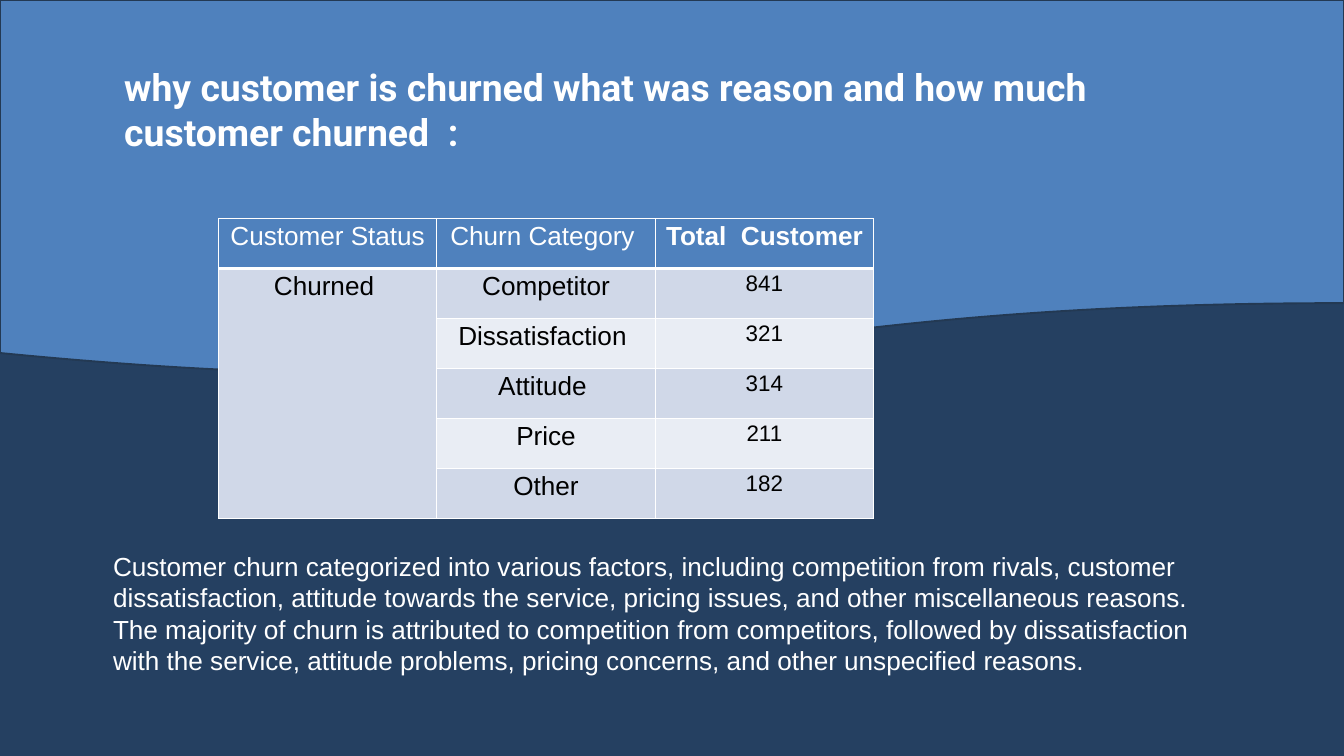
from dataclasses import dataclass

from lxml import etree
from pptx import Presentation
from pptx.dml.color import RGBColor
from pptx.enum.shapes import MSO_SHAPE
from pptx.enum.text import MSO_ANCHOR, PP_ALIGN
from pptx.oxml.ns import qn
from pptx.slide import Slide
from pptx.table import _Cell
from pptx.text.text import _Paragraph
from pptx.util import Pt

RECTANGLE = MSO_SHAPE.RECTANGLE
WAVE = MSO_SHAPE.FLOWCHART_DOCUMENT
MIDDLE = MSO_ANCHOR.MIDDLE
CENTER = PP_ALIGN.CENTER

WHITE = "FFFFFF"
BLACK = "000000"
BLUE = "4F81BD"
NAVY = "254061"
OUTLINE = "233953"
BANDS = ("D0D8E8", "E9EDF4")

SLIDE_WIDTH, SLIDE_HEIGHT = 1440, 810
COLUMN_WIDTH, ROW_HEIGHT = 234, 53.52
HEADINGS = ("Customer Status", "Churn Category ", "Total  Customer")
CHURN_COUNTS = (
    ("Competitor", 841),
    ("Dissatisfaction ", 321),
    ("Attitude ", 314),
    ("Price", 211),
    ("Other", 182),
)


@dataclass(frozen=True)
class Box:
    left: float
    top: float
    width: float
    height: float

    def lengths(self) -> tuple[Pt, Pt, Pt, Pt]:
        return Pt(self.left), Pt(self.top), Pt(self.width), Pt(self.height)


@dataclass(frozen=True)
class Style:
    size: float
    color: str = WHITE
    font: str = "Arial"
    bold: bool = False


@dataclass(frozen=True)
class Backdrop:
    preset: MSO_SHAPE
    box: Box
    fill: str
    line: str
    line_width: float


@dataclass(frozen=True)
class Statement:
    box: Box
    text: str
    style: Style


BACKDROPS = (
    Backdrop(RECTANGLE, Box(-24, 0, 1506, 843), NAVY, WHITE, 3),
    Backdrop(WAVE, Box(0, 0, SLIDE_WIDTH, 405), BLUE, OUTLINE, 2),
)
QUESTION = Statement(
    Box(126, 51, 1176, 132),
    "why customer is churned what was reason and how much customer churned  :",
    Style(40, font="Roboto", bold=True),
)
FINDINGS = Statement(
    Box(114, 591, 1200, 132),
    "Customer churn categorized into various factors, including competition from "
    "rivals, customer dissatisfaction, attitude towards the service, pricing issues, "
    "and other miscellaneous reasons. The majority of churn is attributed to "
    "competition from competitors, followed by dissatisfaction with the service, "
    "attitude problems, pricing concerns, and other unspecified reasons.",
    Style(28),
)


def rgb(color: str) -> RGBColor:
    return RGBColor.from_string(color)


def add_text(paragraph: _Paragraph, text: str, style: Style) -> None:
    run = paragraph.add_run()
    run.text = text
    run.font.name = style.font
    run.font.size = Pt(style.size)
    run.font.bold = style.bold
    run.font.color.rgb = rgb(style.color)


def draw_backdrop(slide: Slide, backdrop: Backdrop) -> None:
    shape = slide.shapes.add_shape(backdrop.preset, *backdrop.box.lengths())
    shape.shadow.inherit = False
    shape.fill.solid()
    shape.fill.fore_color.rgb = rgb(backdrop.fill)
    shape.line.color.rgb = rgb(backdrop.line)
    shape.line.width = Pt(backdrop.line_width)


def draw_statement(slide: Slide, statement: Statement) -> None:
    frame = slide.shapes.add_textbox(*statement.box.lengths()).text_frame
    frame.word_wrap = True
    frame.vertical_anchor = MIDDLE
    add_text(frame.paragraphs[0], statement.text, statement.style)


def format_cell(cell: _Cell, fill: str, top: float, bottom: float) -> None:
    properties = cell._tc.get_or_add_tcPr()
    for side, width in (("L", 1), ("R", 1), ("T", top), ("B", bottom)):
        border = etree.SubElement(properties, qn(f"a:ln{side}"), w=str(Pt(width)))
        border_fill = etree.SubElement(border, qn("a:solidFill"))
        etree.SubElement(border_fill, qn("a:srgbClr"), val=WHITE)
    cell.fill.solid()
    cell.fill.fore_color.rgb = rgb(fill)


def write_cell(cell: _Cell, text: str, style: Style) -> None:
    paragraph = cell.text_frame.paragraphs[0]
    paragraph.alignment = CENTER
    add_text(paragraph, text, style)


def draw_churn_table(slide: Slide) -> None:
    row_count, column_count = len(CHURN_COUNTS) + 1, len(HEADINGS)
    box = Box(234, 234, column_count * COLUMN_WIDTH, row_count * ROW_HEIGHT)
    table = slide.shapes.add_table(row_count, column_count, *box.lengths()).table
    for column in table.columns:
        column.width = Pt(COLUMN_WIDTH)
    for index, row in enumerate(table.rows):
        row.height = Pt(ROW_HEIGHT)
        fill = BANDS[(index - 1) % 2] if index else BLUE
        for cell in row.cells:
            format_cell(cell, fill, 3 if index == 1 else 1, 1 if index else 3)

    for column, heading in enumerate(HEADINGS):
        bold = column == column_count - 1
        write_cell(table.cell(0, column), heading, Style(28, bold=bold))
    table.cell(1, 0).merge(table.cell(row_count - 1, 0))
    write_cell(table.cell(1, 0), "Churned ", Style(28, BLACK))
    for row, (category, customers) in enumerate(CHURN_COUNTS, start=1):
        write_cell(table.cell(row, 1), category, Style(28, BLACK))
        write_cell(table.cell(row, 2), str(customers), Style(24, BLACK))


def main() -> None:
    presentation = Presentation()
    presentation.slide_width = Pt(SLIDE_WIDTH)
    presentation.slide_height = Pt(SLIDE_HEIGHT)
    slide = presentation.slides.add_slide(presentation.slide_layouts[6])
    for backdrop in BACKDROPS:
        draw_backdrop(slide, backdrop)
    draw_statement(slide, QUESTION)
    draw_churn_table(slide)
    draw_statement(slide, FINDINGS)
    presentation.save("out.pptx")


if __name__ == "__main__":
    main()
